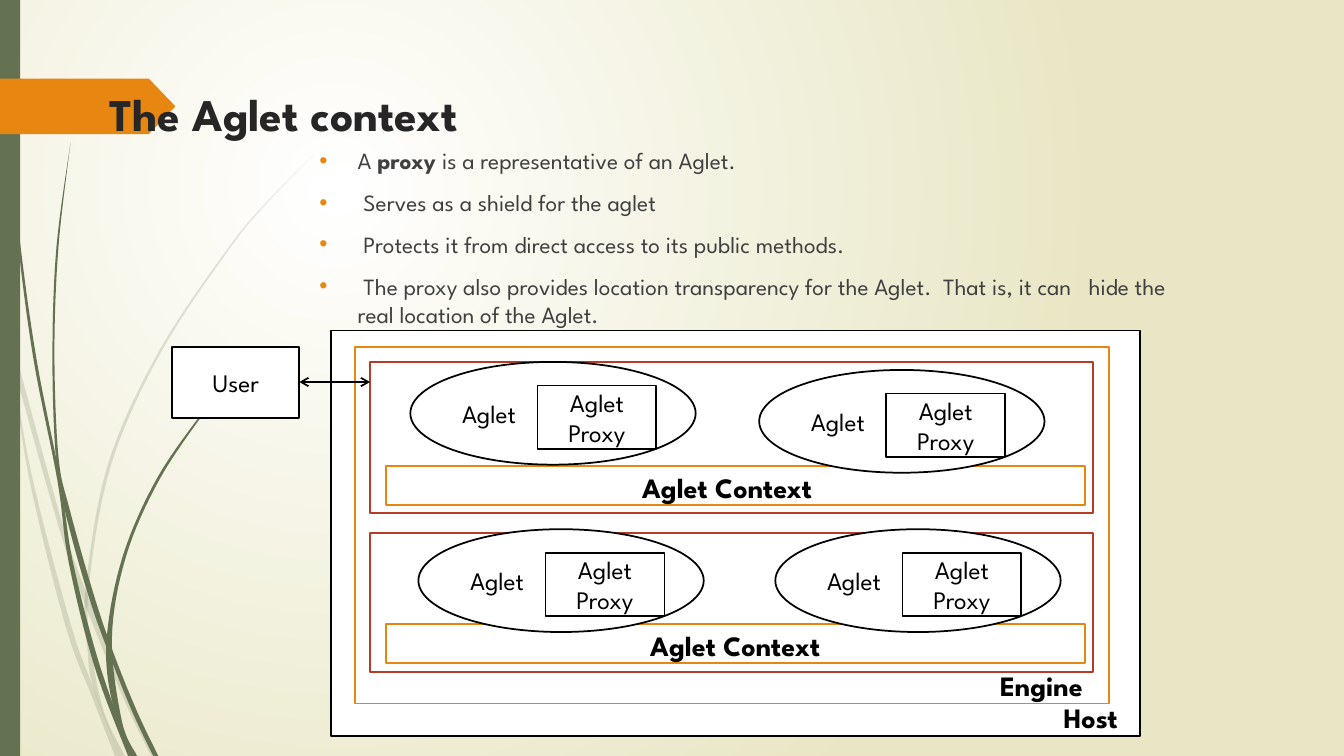
from lxml import etree
from pptx import Presentation
from pptx.dml.color import RGBColor
from pptx.enum import shapes, text
from pptx.oxml import parse_xml
from pptx.oxml.ns import nsdecls, qn
from pptx.util import Inches, Pt

FONT = "League Spartan"
BLACK = RGBColor(0x00, 0x00, 0x00)
WHITE = RGBColor(0xFF, 0xFF, 0xFF)
SAND = RGBColor(0xE8, 0xE6, 0xC4)
GREEN = RGBColor(0x64, 0x72, 0x52)
ORANGE = RGBColor(0xE7, 0x87, 0x12)
RED = RGBColor(0xB7, 0x3C, 0x26)
TITLE_INK = RGBColor(0x26, 0x26, 0x26)
BODY_INK = RGBColor(0x40, 0x40, 0x40)

RECT = shapes.MSO_SHAPE.RECTANGLE
OVAL = shapes.MSO_SHAPE.OVAL
CENTER = text.PP_ALIGN.CENTER
LEFT = text.PP_ALIGN.LEFT

# Each stem: points down its left edge, points down its right edge
PALE_STEMS = [
    ([(0, 2.99), (0.1, 3.44), (0.17, 3.76), (0.58, 5.22), (0.84, 5.99),
      (1.23, 6.94), (1.5, 7.5)],
     [(0, 2.82), (0.09, 3.22), (0.14, 3.45), (0.62, 5.2), (0.85, 5.86),
      (1.27, 6.92), (1.55, 7.5)]),
    ([(0.11, 3.5), (0.28, 4.7), (0.65, 6.21), (0.92, 6.93), (1.14, 7.5)],
     [(0.11, 3.5), (0.31, 4.69), (0.7, 6.19), (0.93, 6.83), (1.19, 7.5)]),
    ([(3.12, 1.53), (2.68, 1.97), (2.28, 2.44), (1.58, 3.48), (1.07, 4.61),
      (0.85, 5.84), (0.87, 6.46), (0.93, 6.83), (1.19, 7.5)],
     [(3.12, 1.53), (2.68, 1.98), (2.29, 2.45), (1.6, 3.49), (1.1, 4.62),
      (0.88, 5.84), (0.91, 6.46), (1.03, 7.06), (1.24, 7.5)]),
]
DARK_STEMS = [
    ([(0.03, 0), (0.07, 1.1), (0.17, 2.33), (0.33, 3.55), (0.57, 4.77),
      (0.68, 5.57), (0.93, 6.59), (1.27, 7.5)],
     [(0.04, 0), (0.08, 1.09), (0.19, 2.32), (0.36, 3.55), (0.6, 4.77),
      (0.72, 5.56), (0.98, 6.57), (1.31, 7.5)]),
    ([(0.7, 1.41), (0.56, 2.45), (0.52, 3.49), (0.55, 4.49), (0.64, 5.05),
      (0.88, 5.92), (1.11, 6.56), (1.32, 7.08), (1.52, 7.5)],
     [(0.7, 1.41), (0.58, 2.45), (0.54, 3.49), (0.58, 4.53), (0.69, 5.05),
      (0.93, 5.9), (1.13, 6.49), (1.36, 7.06), (1.57, 7.5)]),
    ([(2.6, 3.44), (2.31, 3.73), (2.04, 4.05), (1.56, 4.74), (1.22, 5.51),
      (1.06, 6.31), (1.1, 6.91), (1.3, 7.5)],
     [(2.61, 3.44), (2.31, 3.74), (2.05, 4.06), (1.58, 4.76), (1.25, 5.52),
      (1.11, 6.33), (1.21, 7.16), (1.36, 7.5)]),
]
POINTS = [
    [("A ", False), ("proxy ", True), ("is a representative of an Aglet.", False)],
    [(" Serves as a shield for the aglet", False)],
    [(" Protects it from direct access to its public methods.", False)],
    [(" The proxy also provides location transparency for the Aglet.  That is, "
      "it can   hide the real location of the Aglet.", False)],
]
# Top of the context frame, its height, bar top, bar label left, aglet corners
CONTEXTS = [
    (3.59, 1.5, 4.62, 6.27, [(4.07, 3.59), (7.53, 3.67)]),
    (5.29, 1.38, 6.19, 6.35, [(4.15, 5.25), (7.69, 5.25)]),
]


def inches(*lengths):
    return [Inches(length) for length in lengths]


def write(paragraph, words, size, color, bold=False):
    run = paragraph.add_run()
    run.text = words
    for name, value in {"name": FONT, "size": Pt(size), "bold": bold}.items():
        setattr(run.font, name, value)
    run.font.color.rgb = color


def paint(shape, fill, line=None):
    shape.shadow.inherit = False
    shape.fill.solid()
    shape.fill.fore_color.rgb = fill
    if line is None:
        shape.line.fill.background()
    else:
        shape.line.color.rgb = line
        shape.line.width = Pt(1.25)


def add_box(slide, kind, at, line, label=None, align=CENTER):
    box = slide.shapes.add_shape(kind, *inches(*at))
    paint(box, WHITE, line)
    if label:
        box.text_frame.vertical_anchor = text.MSO_ANCHOR.MIDDLE
        paragraph = box.text_frame.paragraphs[0]
        paragraph.alignment = align
        write(paragraph, label, 18, BLACK)


def add_label(slide, at, words, size=20, color=BLACK, anchor=text.MSO_ANCHOR.TOP):
    frame = slide.shapes.add_textbox(*inches(*at)).text_frame
    frame.word_wrap = True
    frame.vertical_anchor = anchor
    write(frame.paragraphs[0], words, size, color, bold=True)


def smooth(knots, steps=8):
    """Points of a Catmull-Rom curve through the knots."""
    ends = [knots[0], *knots, knots[-1]]
    curve = []
    for a, b, c, d in zip(ends, ends[1:], ends[2:], ends[3:]):
        for t in (step / steps for step in range(steps)):
            curve.append(tuple(
                b[i] + t * (c[i] - a[i]) / 2
                + t ** 2 * (2 * a[i] - 5 * b[i] + 4 * c[i] - d[i]) / 2
                + t ** 3 * (3 * b[i] - a[i] - 3 * c[i] + d[i]) / 2
                for i in (0, 1)))
    return curve + [knots[-1]]


def add_stem(slide, left_edge, right_edge, opacity):
    outline = [inches(*point) for point in smooth(left_edge) + smooth(right_edge)[::-1]]
    builder = slide.shapes.build_freeform(*outline[0])
    builder.add_line_segments(outline[1:], close=True)
    stem = builder.convert_to_shape()
    paint(stem, GREEN)
    color = stem.fill._xPr.find(qn("a:solidFill"))[0]
    etree.SubElement(color, qn("a:alpha"), val=str(opacity * 1000))


def add_background(slide):
    fill = slide.background.fill
    fill.gradient()
    for stop, position, color in zip(fill.gradient_stops, (0, 1), (WHITE, SAND)):
        stop.position = position
        stop.color.rgb = color
    direction = next(slide.element.iter(qn("a:lin")))
    direction.getparent().replace(direction, parse_xml(
        f'<a:path {nsdecls("a")} path="circle">'
        '<a:fillToRect l="50000" t="50000" r="100000" b="100000"/></a:path>'))


def add_decoration(slide):
    for stems, opacity in ((PALE_STEMS, 20), (DARK_STEMS, 100)):
        for left_edge, right_edge in stems:
            add_stem(slide, left_edge, right_edge, opacity)
    side_bar = slide.shapes.add_shape(RECT, *inches(0, 0, 0.2, 7.5))
    paint(side_bar, GREEN)
    title_tag = slide.shapes.add_shape(shapes.MSO_SHAPE.PENTAGON, *inches(0, 0.78, 1.74, 0.55))
    title_tag.adjustments[0] = 0.48
    paint(title_tag, ORANGE)


def add_points(slide):
    frame = slide.shapes.add_textbox(*inches(3.07, 1.4, 8.8, 1.87)).text_frame
    frame.word_wrap = True
    for index, runs in enumerate(POINTS):
        paragraph = frame.add_paragraph() if index else frame.paragraphs[0]
        paragraph.space_before = Pt(10)
        properties = paragraph._p.get_or_add_pPr()
        for name, length in {"marL": 0.38, "indent": -0.38}.items():
            properties.set(name, str(Inches(length)))
        color = etree.SubElement(properties, qn("a:buClr"))
        etree.SubElement(color, qn("a:srgbClr"), val=str(ORANGE))
        etree.SubElement(properties, qn("a:buFont"), typeface="Arial")
        etree.SubElement(properties, qn("a:buChar"), char="•")
        for words, bold in runs:
            write(paragraph, words, 16.65, BODY_INK, bold)


def add_context(slide, top, height, bar_top, label_left, aglets):
    add_box(slide, RECT, (3.67, top, 7.17, height), RED)
    add_box(slide, RECT, (3.83, bar_top, 6.93, 0.39), ORANGE)
    add_label(slide, (label_left, bar_top, 2.2, 0.44), "Aglet Context")
    for x, y in aglets:
        add_box(slide, OVAL, (x, y, 2.83, 1.02), BLACK, "Aglet", LEFT)
        add_box(slide, RECT, (x + 1.26, y + 0.235, 1.18, 0.63), BLACK, "Aglet Proxy")


def add_access_arrow(slide):
    arrow = slide.shapes.add_connector(
        shapes.MSO_CONNECTOR.STRAIGHT, *inches(2.97, 3.79, 3.67, 3.79))
    arrow.line.color.rgb = BLACK
    arrow.line.width = Pt(1.25)
    line = arrow.line._get_or_add_ln()
    for end in ("a:headEnd", "a:tailEnd"):
        etree.SubElement(line, qn(end), type="arrow")
    etree.SubElement(arrow._element.spPr, qn("a:effectLst"))


def main():
    deck = Presentation()
    deck.slide_width, deck.slide_height = inches(13.33, 7.5)
    slide = deck.slides.add_slide(deck.slide_layouts[6])
    add_background(slide)
    add_decoration(slide)

    # Title and bullets
    add_label(slide, (0.99, 0.76, 9, 0.72), "The Aglet context", 32.4, TITLE_INK,
              text.MSO_ANCHOR.MIDDLE)
    add_points(slide)

    # Host, engine and contexts
    add_box(slide, RECT, (3.28, 3.28, 8.03, 4.02), BLACK)
    add_box(slide, RECT, (3.52, 3.44, 7.48, 3.54), ORANGE)
    add_label(slide, (10.45, 6.9, 1.57, 0.44), "Host")
    add_label(slide, (9.82, 6.58, 1.57, 0.44), "Engine")
    for context in CONTEXTS:
        add_context(slide, *context)

    # User and access to the context
    add_box(slide, RECT, (1.71, 3.44, 1.26, 0.71), BLACK, "User")
    add_access_arrow(slide)
    deck.save("out.pptx")


if __name__ == "__main__":
    main()
